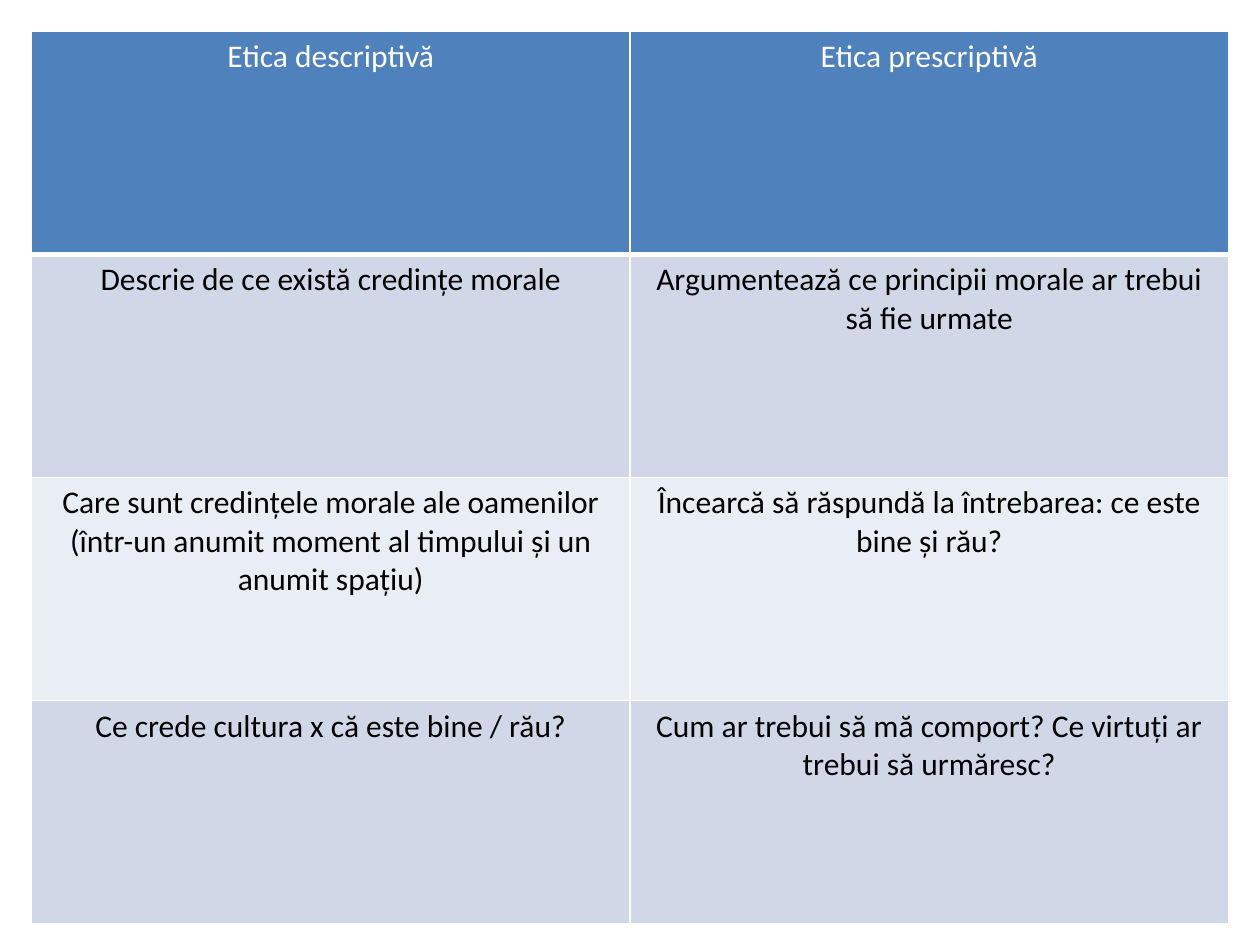
from lxml.etree import SubElement
from pptx import Presentation
from pptx.dml.color import RGBColor
from pptx.enum.text import PP_ALIGN
from pptx.oxml.ns import qn
from pptx.util import Pt


def color(value):
    return RGBColor.from_string(value)


def add_border(cell, side, width):
    """Draw a white line on one side (L, R, T or B); call before filling the cell."""
    properties = cell._tc.get_or_add_tcPr()
    line = SubElement(properties, qn(f"a:ln{side}"), w=str(Pt(width)))
    fill = SubElement(line, qn("a:solidFill"))
    SubElement(fill, qn("a:srgbClr"), val="FFFFFF")


ROWS = [
    ("Etica descriptivă", "Etica prescriptivă"),
    ("Descrie de ce există credințe morale",
     "Argumentează ce principii morale ar trebui să fie urmate"),
    ("Care sunt credințele morale ale oamenilor "
     "(într-un anumit moment al timpului și un anumit spațiu)",
     "Încearcă să răspundă la întrebarea: ce este bine și rău?"),
    ("Ce crede cultura x că este bine / rău?",
     "Cum ar trebui să mă comport? Ce virtuți ar trebui să urmăresc?"),
]
ROW_FILLS = ["4F81BD", "D0D8E8", "E9EDF4", "D0D8E8"]

presentation = Presentation()
presentation.slide_width = Pt(720)
presentation.slide_height = Pt(540)
slide = presentation.slides.add_slide(presentation.slide_layouts[6])

table = slide.shapes.add_table(
    len(ROWS), 2, Pt(18), Pt(18), Pt(684), Pt(510)).table

for row_index, (texts, row_fill) in enumerate(zip(ROWS, ROW_FILLS)):
    is_header = row_index == 0
    for column_index, text in enumerate(texts):
        cell = table.cell(row_index, column_index)
        for side in "LRTB":
            add_border(cell, side, 3 if is_header and side == "B" else 1)
        cell.fill.solid()
        cell.fill.fore_color.rgb = color(row_fill)

        paragraph = cell.text_frame.paragraphs[0]
        paragraph.alignment = PP_ALIGN.CENTER
        run = paragraph.add_run()
        run.text = text
        run.font.name = "Calibri"
        run.font.size = Pt(18)
        run.font.bold = False
        run.font.color.rgb = color("FFFFFF" if is_header else "000000")

presentation.save("out.pptx")
